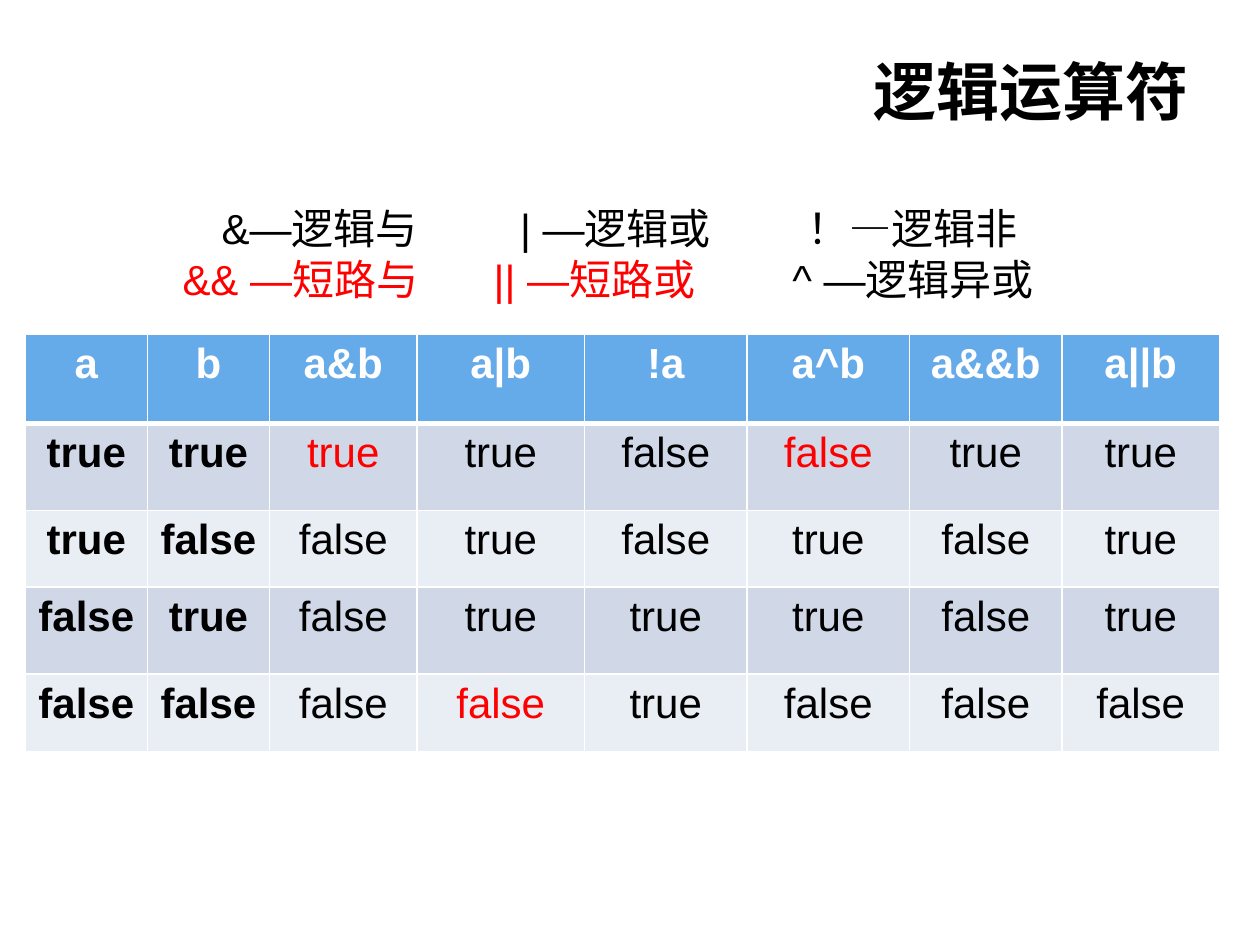
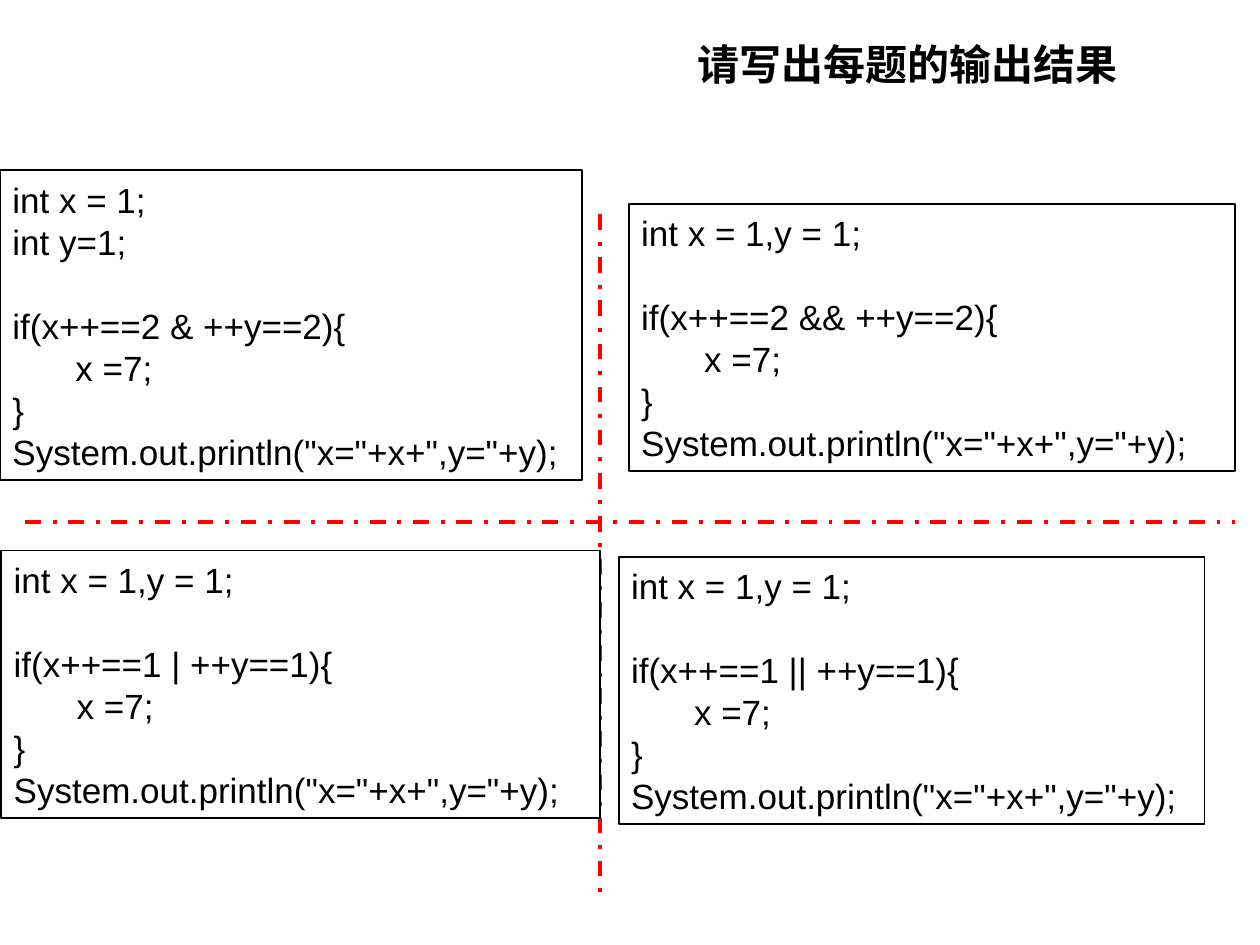
"""Build two slides on Java logical operators: a truth table and four exercises."""
from dataclasses import dataclass

from lxml.etree import SubElement
from pptx import Presentation
from pptx.dml.color import RGBColor
from pptx.enum.dml import MSO_LINE_DASH_STYLE as DASH
from pptx.enum.shapes import MSO_CONNECTOR as CONN, MSO_SHAPE as SHAPE
from pptx.enum.text import PP_ALIGN as ALIGN
from pptx.oxml.ns import qn
from pptx.util import Inches, Pt


@dataclass(frozen=True)
class Theme:
    """Colours, font and type sizes shared by the slides."""
    font: str = "Arial"
    ink: str = "000000"
    paper: str = "FFFFFF"
    accent: str = "FF0000"
    header: str = "65AAE9"
    bands: tuple = ("D0D8E8", "E9EDF4")
    title: int = 36
    body: int = 24
    code: int = 20
    leading: float = 1.2


T = Theme()
COLUMNS, ROWS = 100, 75
SLIDE_W, SLIDE_H = Inches(10), Inches(7.5)

COL_WIDTHS = (9.7, 9.7, 11.7, 13.3, 12.9, 12.9, 12.1, 12.5)
ROW_HEIGHTS = (7.1, 6.9, 6.1, 6.9, 6.2)
HEADINGS = ("a", "b", "a&b", "a|b", "!a", "a^b", "a&&b", "a||b")
INPUTS = ((True, True), (True, False), (False, True), (False, False))
MARKED = {(1, 2), (1, 5), (4, 3)}

OPERATORS = (
    ((12.3, 36, 58.8), (("\t&—逻辑与\t| —逻辑或\t！—逻辑非", T.ink),)),
    ((9.2, 33.9, 57.6), (("\t&& —短路与\t|| —短路或\t", T.accent), ("^ —逻辑异或", T.ink))),
)

SHORT_START = ("int x = 1,y = 1;",)
LONG_START = ("int x = 1;", "int y=1;")
UPPER_EXERCISES = (
    ((0, 13.5, 46.2, 24.6), LONG_START, "x++==2 & ++y==2"),
    ((49.9, 16.2, 48.1, 21.2), SHORT_START, "x++==2 && ++y==2"),
)
LOWER_EXERCISES = (
    ((0.1, 43.7, 47.5, 21.2), SHORT_START, "x++==1 | ++y==1"),
    ((49.1, 44.2, 46.5, 21.2), SHORT_START, "x++==1 || ++y==1"),
)


def across(columns):
    """Convert grid columns to a horizontal length."""
    return round(SLIDE_W * columns / COLUMNS)


def down(rows):
    """Convert grid rows to a vertical length."""
    return round(SLIDE_H * rows / ROWS)


def place(left, top, width, height):
    """Convert a grid box to slide lengths."""
    return across(left), down(top), across(width), down(height)


def add_run(p, text, size=T.body, color=T.ink, bold=False):
    """Append formatted text to a paragraph."""
    r = p.add_run()
    r.text = text
    r.font.name, r.font.size, r.font.bold = T.font, Pt(size), bold
    r.font.color.rgb = RGBColor.from_string(color)


def add_paragraph(tf, first, size, align=ALIGN.LEFT):
    """Return the first or a new paragraph with the shared leading."""
    p = tf.paragraphs[0] if first else tf.add_paragraph()
    p.alignment, p.line_spacing = align, Pt(size * T.leading)
    return p


def add_text_box(slide, box):
    """Add a wrapping text box and return its text frame."""
    tf = slide.shapes.add_textbox(*place(*box)).text_frame
    tf.word_wrap = True
    return tf


def add_title(slide, text, box, size):
    """Add a bold centred title."""
    p = add_paragraph(add_text_box(slide, box), True, size, ALIGN.CENTER)
    add_run(p, text, size, bold=True)


def set_tabs(p, stops):
    """Give a paragraph left tab stops at grid columns."""
    tabs = SubElement(p._p.get_or_add_pPr(), qn("a:tabLst"))
    for stop in stops:
        SubElement(tabs, qn("a:tab"), pos=str(across(stop)), algn="l")


def add_operators(slide, box):
    """Add the list of operators on aligned tab stops."""
    tf = add_text_box(slide, box)
    for i, (stops, parts) in enumerate(OPERATORS):
        p = add_paragraph(tf, i == 0, T.body)
        set_tabs(p, stops)
        for text, color in parts:
            add_run(p, text, color=color)


def set_borders(cell, top, bottom):
    """Draw cell borders, with top and bottom widths in points."""
    pr = cell._tc.get_or_add_tcPr()
    for side, width in (("L", 1), ("R", 1), ("T", top), ("B", bottom)):
        ln = SubElement(pr, qn(f"a:ln{side}"), w=str(Pt(width)))
        SubElement(SubElement(ln, qn("a:solidFill")), qn("a:srgbClr"), val=T.paper)


def truth_rows():
    """Return the headings followed by the computed truth values."""
    rows = [(a, b, a and b, a or b, not a, a != b, a and b, a or b) for a, b in INPUTS]
    return [HEADINGS] + [[str(value).lower() for value in row] for row in rows]


def add_truth_table(slide, left, top):
    """Add the banded truth table with its marked results."""
    box = place(left, top, sum(COL_WIDTHS), sum(ROW_HEIGHTS))
    table = slide.shapes.add_table(len(ROW_HEIGHTS), len(COL_WIDTHS), *box).table
    for column, width in zip(table.columns, COL_WIDTHS):
        column.width = across(width)
    for row, height in zip(table.rows, ROW_HEIGHTS):
        row.height = down(height)
    for i, row in enumerate(truth_rows()):
        for j, text in enumerate(row):
            cell = table.cell(i, j)
            set_borders(cell, 3 if i == 1 else 1, 3 if i == 0 else 1)
            cell.fill.solid()
            fill = T.bands[(i - 1) % 2] if i else T.header
            cell.fill.fore_color.rgb = RGBColor.from_string(fill)
            color = T.accent if (i, j) in MARKED else T.ink if i else T.paper
            p = cell.text_frame.paragraphs[0]
            p.alignment = ALIGN.CENTER
            add_run(p, text, color=color, bold=i == 0 or j < 2)


def add_code_box(slide, box, start, condition):
    """Add an outlined exercise, with a line's gap before its condition."""
    sp = slide.shapes.add_shape(SHAPE.RECTANGLE, *place(*box))
    sp.shadow.inherit = False
    sp.fill.solid()
    sp.fill.fore_color.rgb = RGBColor.from_string(T.paper)
    sp.line.color.rgb = RGBColor.from_string(T.ink)
    sp.line.width = Pt(1)
    tf = sp.text_frame
    tf.word_wrap = True
    lines = (*start, f"if({condition}){{", "\tx =7;", "}",
             'System.out.println("x="+x+",y="+y);')
    for i, line in enumerate(lines):
        p = add_paragraph(tf, i == 0, T.code)
        if i == len(start):
            p.space_before = Pt(T.code * T.leading)
        add_run(p, line, T.code)


def add_divider(slide, x1, y1, x2, y2):
    """Add a dash-dotted dividing line."""
    line = slide.shapes.add_connector(CONN.STRAIGHT, across(x1), down(y1), across(x2), down(y2))
    line.line.color.rgb = RGBColor.from_string(T.accent)
    line.line.width = Pt(2.25)
    line.line.dash_style = DASH.DASH_DOT
    SubElement(line._element.spPr, qn("a:effectLst"))


def build_operators(slide):
    """Fill the slide on logical operators."""
    add_truth_table(slide, 2, 26.5)
    add_operators(slide, (4.3, 15.6, 89.8, 9.1))
    add_title(slide, "逻辑运算符", (60.2, 3.7, 43.3, 7.6), T.title)


def build_exercises(slide):
    """Fill the slide with four exercises in quadrants."""
    add_title(slide, "请写出每题的输出结果", (44.1, 2.6, 55.9, 5), T.body)
    for exercise in UPPER_EXERCISES:
        add_code_box(slide, *exercise)
    add_divider(slide, 2, 41.4, 98, 41.4)
    add_divider(slide, 47.6, 17, 47.6, 71.4)
    for exercise in LOWER_EXERCISES:
        add_code_box(slide, *exercise)


def main():
    """Build and save the presentation."""
    prs = Presentation()
    prs.slide_width, prs.slide_height = SLIDE_W, SLIDE_H
    for build in (build_operators, build_exercises):
        build(prs.slides.add_slide(prs.slide_layouts[6]))
    prs.save("out.pptx")


if __name__ == "__main__":
    main()
